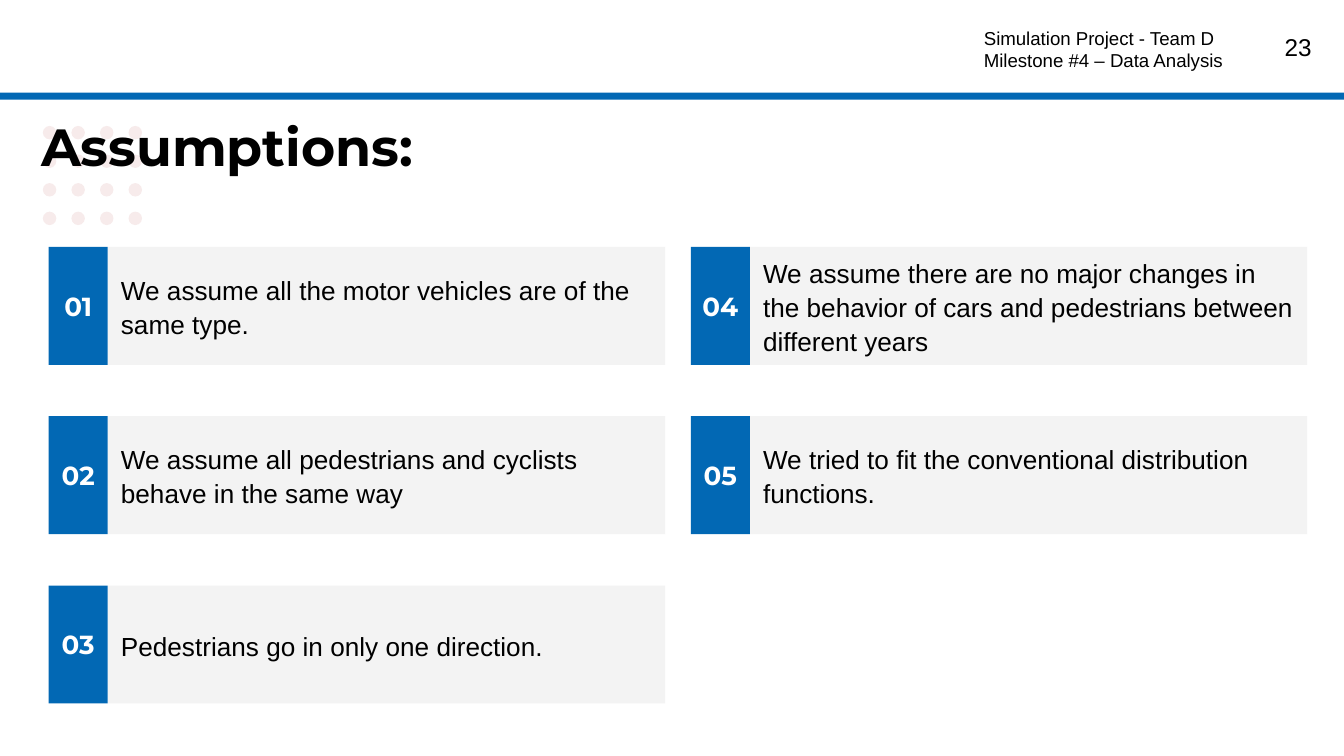
from pptx import Presentation
from pptx.dml.color import RGBColor
from pptx.enum.shapes import MSO_SHAPE as Preset
from pptx.enum.text import MSO_ANCHOR as Anchor, PP_ALIGN as Align
from pptx.util import Pt

BLUE = RGBColor(0x02, 0x68, 0xB4)
GREY = RGBColor(0xF3, 0xF3, 0xF3)
PINK = RGBColor(0xF7, 0xEB, 0xEB)
WHITE = RGBColor(0xFF, 0xFF, 0xFF)
BLACK = RGBColor(0x00, 0x00, 0x00)
WIDTH, HEIGHT = 720, 405
INSET = 7.2

ASSUMPTIONS = [
    "We assume all the motor vehicles are of the same type.",
    "We assume all pedestrians and cyclists behave in the same way",
    "Pedestrians go in only one direction.",
    "We assume there are no major changes in the behavior of cars and "
    "pedestrians between different years",
    "We tried to fit the conventional distribution functions.",
]


def add_filled(page, preset, left, top, width, height, color):
    shape = page.shapes.add_shape(preset, Pt(left), Pt(top), Pt(width), Pt(height))
    shape.shadow.inherit = False
    shape.fill.solid()
    shape.fill.fore_color.rgb = color
    shape.line.fill.background()
    return shape


def add_text(page, left, top, width, height):
    return page.shapes.add_textbox(Pt(left), Pt(top), Pt(width), Pt(height))


def write(box, text, size, font="Arial", color=BLACK, bold=False,
          align=Align.LEFT, anchor=Anchor.TOP, side_inset=INSET):
    frame = box.text_frame
    frame.word_wrap = True
    frame.vertical_anchor = anchor
    frame.margin_left = frame.margin_right = Pt(side_inset)
    frame.margin_top = frame.margin_bottom = Pt(INSET)
    frame.text = text
    for para in frame.paragraphs:
        para.alignment = align
        for span in para.runs:
            span.font.size = Pt(size)
            span.font.name = font
            span.font.bold = bold
            span.font.color.rgb = color


def draw_dots(page, left, top, pitch, size, count=4):
    for row in range(count):
        for column in range(count):
            add_filled(page, Preset.OVAL, left + column * pitch,
                       top + row * pitch, size, size, PINK)


def draw_header(page, left, top, width, height):
    # White band closed by a blue rule
    rule = 3.8
    add_filled(page, Preset.RECTANGLE, left, top, width, height - rule, WHITE)
    add_filled(page, Preset.RECTANGLE, left, top + height - rule, width, rule, BLUE)
    # Project name and page number
    project = add_text(page, left + 520, top + 7.2, 168, 40.3)
    write(project, "Simulation Project - Team D\nMilestone #4 – Data Analysis", 10)
    number = add_text(page, left + 666.5, top + 10.3, 43.2, 41)
    write(number, "23", 13, align=Align.RIGHT)


def draw_title(page, left, top, width, height):
    title = add_text(page, left, top, width, height)
    write(title, "Assumptions:", 28, font="Montserrat", bold=True)


def draw_card(page, left, top, width, height, number, text):
    badge_width = 31.6
    # Assumption
    panel = add_filled(page, Preset.RECTANGLE, left + badge_width, top,
                       width - badge_width, height, GREY)
    write(panel, text, 14, anchor=Anchor.MIDDLE)
    para = panel.text_frame.paragraphs[0]
    para.line_spacing = 1.08
    para.space_after = Pt(8)
    # Number badge
    badge = add_filled(page, Preset.RECTANGLE, left, top, badge_width, height, BLUE)
    write(badge, f"{number:02d}", 14, font="Montserrat", color=WHITE, bold=True,
          align=Align.CENTER, anchor=Anchor.MIDDLE, side_inset=0)


def draw_cards(page, left, top, width, height, rows=3, columns=2):
    column_gap, row_gap = 13.8, 27.5
    card_width = (width - (columns - 1) * column_gap) / columns
    card_height = (height - (rows - 1) * row_gap) / rows
    for index, text in enumerate(ASSUMPTIONS):
        column, row = divmod(index, rows)
        draw_card(page, left + column * (card_width + column_gap),
                  top + row * (card_height + row_gap),
                  card_width, card_height, index + 1, text)


def main():
    deck = Presentation()
    deck.slide_width, deck.slide_height = Pt(WIDTH), Pt(HEIGHT)
    page = deck.slides.add_slide(deck.slide_layouts[6])
    draw_dots(page, 23, 67.5, 15.3, 7.2)
    draw_header(page, 0, 0, WIDTH, 53.5)
    draw_title(page, 15, 54, 690, 51)
    draw_cards(page, 26.1, 132.3, 674.2, 244.6)
    deck.save("out.pptx")


if __name__ == "__main__":
    main()
